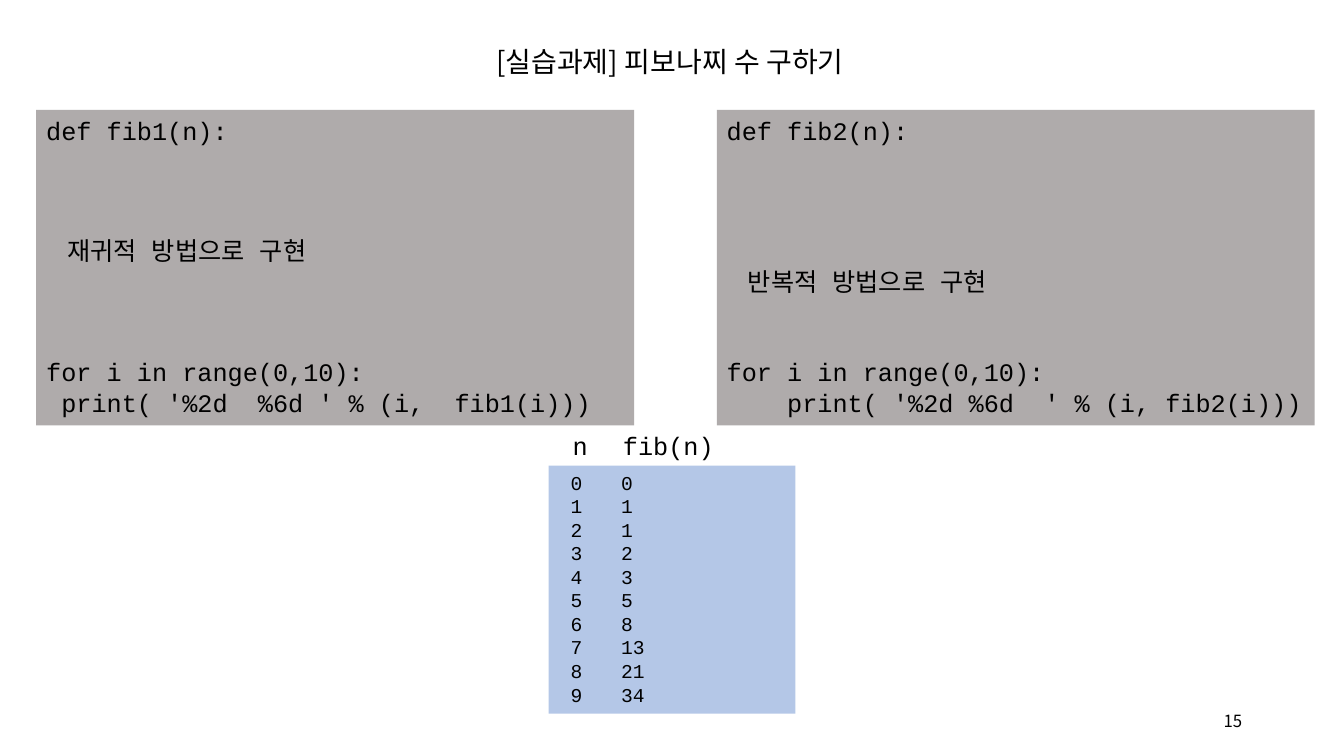
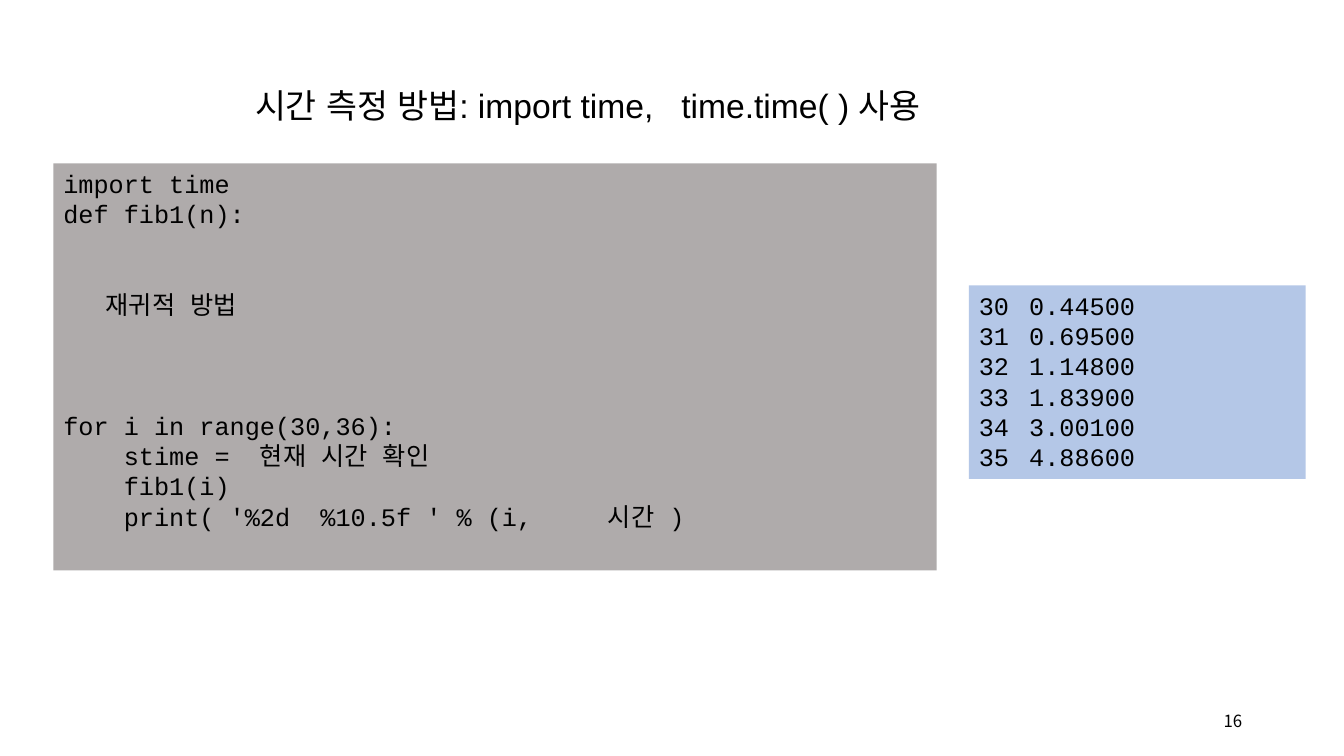
from lxml import etree
from pptx import Presentation
from pptx.dml.color import RGBColor
from pptx.enum import text
from pptx.oxml import ns
from pptx.util import Inches, Pt

BLACK = RGBColor(0x00, 0x00, 0x00)
GRAY = RGBColor(0xAF, 0xAB, 0xAB)
BLUE = RGBColor(0xB4, 0xC7, 0xE7)
CODE, SANS, KOR = "Courier New", "Arial", "Noto Sans CJK KR"
LINE = 1.2


def write(frame, rows, size=18, face=CODE, tab=None):
    frame.word_wrap = True
    frame.auto_size = text.MSO_AUTO_SIZE.NONE
    for i, (gap, inset, line) in enumerate(rows):
        para = frame.paragraphs[0] if i == 0 else frame.add_paragraph()
        para.text = line
        para.alignment = text.PP_ALIGN.LEFT
        para.space_before = Pt(gap * size * LINE)
        para.font.size = Pt(size)
        para.font.color.rgb = BLACK
        para.font.name = face
        east = etree.SubElement(para.font._rPr, ns.qn("a:ea"))
        east.set("typeface", face)
        props = para._p.get_or_add_pPr()
        props.set("marL", str(Inches(inset)))
        props.set("indent", "0")
        if tab:
            stops = etree.Element(ns.qn("a:tabLst"))
            stop = etree.SubElement(stops, ns.qn("a:tab"))
            stop.set("pos", str(Inches(tab[0])))
            stop.set("algn", tab[1])
            props.find(ns.qn("a:defRPr")).addprevious(stops)


def panel(slide, place, rows, fill=None, **style):
    box = slide.shapes.add_textbox(*map(Inches, place))
    if fill is not None:
        box.fill.solid()
        box.fill.fore_color.rgb = fill
    write(box.text_frame, rows, **style)
    return box


deck = Presentation()
deck.slide_width, deck.slide_height = Inches(13.33), Inches(7.5)

heads = [
    ("[실습과제] 피보나찌 수 구하기", (4.82, 0, 4.59, 1.25), 20, KOR, 0.9,
     text.MSO_ANCHOR.MIDDLE),
    ("시간 측정 방법: import time,   time.time( ) 사용", (2.43, 0.59, 7.08, 0.71),
     24, SANS, 1.5, text.MSO_ANCHOR.TOP),
]
slides = []
for page, (words, place, size, face, space, anchor) in enumerate(heads, 15):
    slide = deck.slides.add_slide(deck.slide_layouts[5])
    title = slide.shapes.title
    title.left, title.top, title.width, title.height = map(Inches, place)
    write(title.text_frame, [(0, 0, words)], size=size, face=face)
    title.text_frame.vertical_anchor = anchor
    title.text_frame.paragraphs[0].line_spacing = space
    foot = panel(slide, (9.42, 6.95, 3, 0.4), [(0, 0, str(page))], size=12, face=KOR)
    foot.text_frame.vertical_anchor = text.MSO_ANCHOR.MIDDLE
    foot.text_frame.paragraphs[0].alignment = text.PP_ALIGN.RIGHT
    slides.append(slide)
task, timing = slides

codes = [
    (0.36, "fib1", 3, "재귀적 방법으로 구현", 3, 0.15, "print( '%2d  %6d ' % (i,  fib1(i)))"),
    (7.11, "fib2", 4, "반복적 방법으로 구현", 2, 0.6, "print( '%2d %6d  ' % (i, fib2(i)))"),
]
for left, name, above, hint, below, inset, call in codes:
    panel(task, (left, 1.09, 5.93, 3.13), [
        (0, 0, f"def {name}(n):"),
        (above, 0.21, hint),
        (below, 0, "for i in range(0,10):"),
        (0, inset, call),
    ], GRAY)

fibs = [0, 1, 1, 2, 3, 5, 8, 13, 21, 34]
table = panel(task, (5.44, 4.62, 2.45, 2.46),
              [(0, 0, f"{n}\t{fib}") for n, fib in enumerate(fibs)],
              BLUE, size=14, tab=(1.05, "r"))
table.text_frame.margin_left = Inches(0.22)
panel(task, (5.58, 4.22, 2.05, 0.4), [(0, 0, "n\tfib(n)")], tab=(0.9, "l"))

panel(timing, (0.53, 1.62, 8.76, 4.04), [
    (0, 0, "import time"),
    (0, 0, "def fib1(n):"),
    (2, 0.42, "재귀적 방법"),
    (3, 0, "for i in range(30,36):"),
    (0, 0.6, "stime =  현재 시간 확인"),
    (0, 0.6, "fib1(i)"),
    (0, 0.6, "print( '%2d  %10.5f ' % (i,     시간 )"),
], GRAY)

times = [0.445, 0.695, 1.148, 1.839, 3.001, 4.886]
panel(timing, (9.61, 2.83, 3.34, 1.92),
      [(0, 0, f"{n}\t{secs:.5f}") for n, secs in enumerate(times, 30)],
      BLUE, tab=(1.05, "l"))

deck.save("out.pptx")
